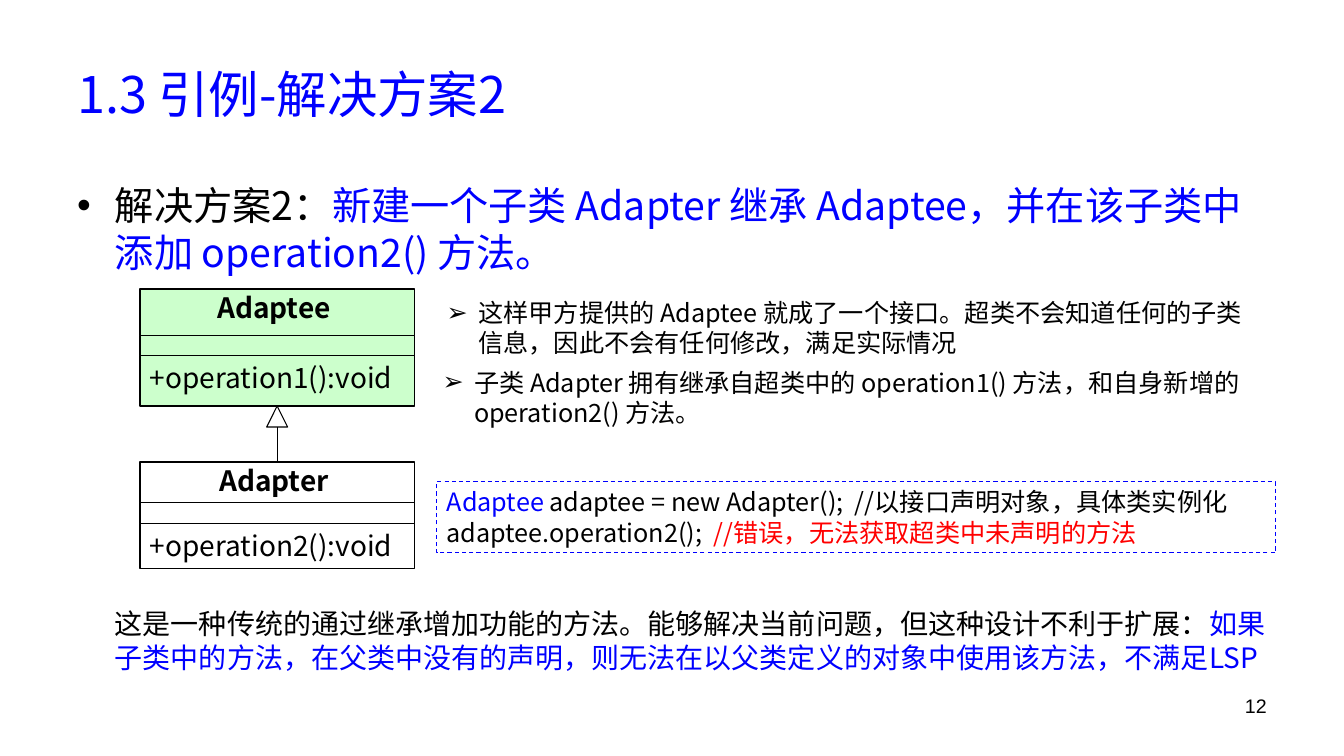
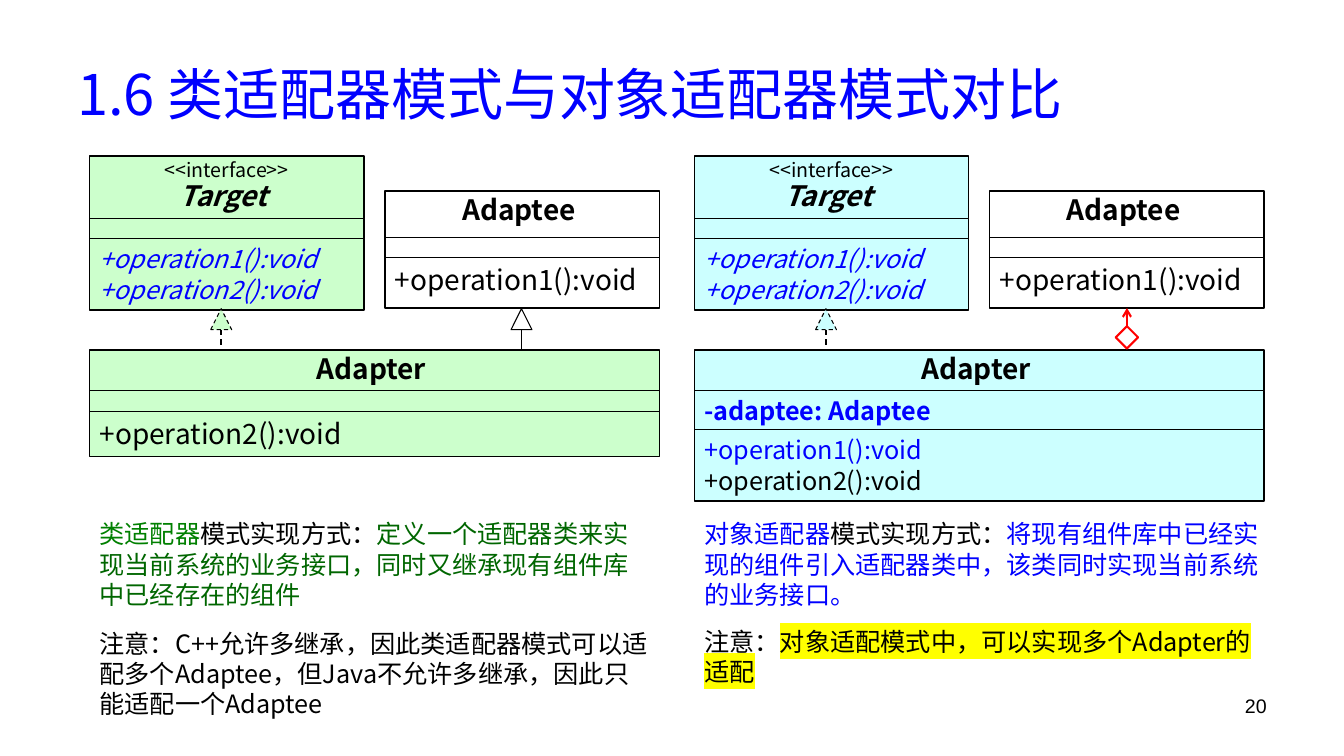
"""Build two slides on the adapter pattern with UML class diagrams."""
import dataclasses

import lxml.etree
import pptx
import pptx.dml.color
import pptx.enum.dml
import pptx.enum.shapes
import pptx.enum.text
import pptx.oxml.ns
import pptx.util

Pt = pptx.util.Pt
RGB = pptx.dml.color.RGBColor.from_string
SHAPE = pptx.enum.shapes.MSO_SHAPE
ALIGN = pptx.enum.text.PP_ALIGN
ANCHOR = pptx.enum.text.MSO_ANCHOR
DASH = pptx.enum.dml.MSO_LINE.DASH
qn = pptx.oxml.ns.qn


@dataclasses.dataclass(frozen=True)
class Theme:
    font: str = "Noto Sans CJK SC"
    number_font: str = "Arial"
    black: str = "000000"
    white: str = "FFFFFF"
    blue: str = "0000FF"
    red: str = "FF0000"
    green: str = "008000"
    dark_green: str = "006600"
    pale_green: str = "CCFFCC"
    pale_cyan: str = "CCFFFF"
    yellow: str = "FFFF00"
    body: int = 28
    large: int = 20
    text: int = 18
    small: int = 14


T = Theme()


def write(sp, *paras, size=T.text, color=T.black, font=T.font, bold=None, italic=None,
          align=ALIGN.LEFT, spacing=None, before=0, anchor=ANCHOR.TOP, bullet=None, indent=0):
    """Fill a shape with paragraphs; a run is a string or a (string, format) pair."""
    tf = sp.text_frame
    tf.word_wrap = True
    tf.auto_size = pptx.enum.text.MSO_AUTO_SIZE.NONE
    tf.vertical_anchor = anchor
    for i, runs in enumerate(paras):
        p = tf.add_paragraph() if i else tf.paragraphs[0]
        p.alignment, p.space_before = align, Pt(before)
        if spacing:
            p.line_spacing = spacing
        if bullet:
            pPr = p._p.get_or_add_pPr()
            pPr.set("marL", str(Pt(indent)))
            pPr.set("indent", str(-Pt(indent)))
            lxml.etree.SubElement(pPr, qn("a:buFont")).set("typeface", T.number_font)
            lxml.etree.SubElement(pPr, qn("a:buChar")).set("char", bullet)
        for run in runs if isinstance(runs, list) else [runs]:
            text, own = run if isinstance(run, tuple) else (run, {})
            r = p.add_run()
            r.text = text
            r.font.size = Pt(own.get("size", size))
            r.font.bold = own.get("bold", bold)
            r.font.italic = own.get("italic", italic)
            r.font.color.rgb = RGB(own.get("color", color))
            rPr = r._r.get_or_add_rPr()
            if "highlight" in own:
                mark = lxml.etree.SubElement(rPr, qn("a:highlight"))
                lxml.etree.SubElement(mark, qn("a:srgbClr")).set("val", own["highlight"])
            r.font.name = font
            lxml.etree.SubElement(rPr, qn("a:ea")).set("typeface", font)


def draw(shapes, kind, x, y, w, h, fill=None, line=T.black, width=1, dash=None):
    """Add an outlined shape, or a connector from x, y by w, h when kind is None."""
    if kind is None:
        sp = shapes.add_connector(pptx.enum.shapes.MSO_CONNECTOR.STRAIGHT,
                                  Pt(x), Pt(y), Pt(x + w), Pt(y + h))
        lxml.etree.SubElement(sp._element.spPr, qn("a:effectLst"))
    else:
        sp = shapes.add_shape(kind, Pt(x), Pt(y), Pt(w), Pt(h))
        sp.shadow.inherit = False
        if fill:
            sp.fill.solid()
            sp.fill.fore_color.rgb = RGB(fill)
        else:
            sp.fill.background()
    sp.line.color.rgb = RGB(line)
    sp.line.width = Pt(width)
    if dash:
        sp.line.dash_style = dash
    return sp


prs = pptx.Presentation()
prs.slide_width, prs.slide_height = Pt(960), Pt(540)
slides = []
for title, size, number in (("1.3 引例-解决方案2", 36, "12"),
                            ("1.6 类适配器模式与对象适配器模式对比", 40, "20")):
    s = prs.slides.add_slide(prs.slide_layouts[5])
    sp = s.shapes.title
    sp.left, sp.top, sp.width, sp.height = Pt(48), Pt(21.6), Pt(864), Pt(90)
    write(sp, title, size=size, color=T.blue, anchor=ANCHOR.MIDDLE)
    sp = s.shapes.add_textbox(Pt(688), Pt(492), Pt(224), Pt(37))
    write(sp, number, size=T.small, font=T.number_font, align=ALIGN.RIGHT)
    slides.append(s)
solution, comparison = slides

left, right, narrow, wide = 64, 496, 196, 407
shift = right - left
target = ["<<interface>>", ("Target ", {"size": T.large, "bold": True, "italic": True})]
op1, op2 = "+operation1():void", "+operation2():void"
plain = {"size": T.large}
abstract = {"color": T.blue, "italic": True}
classes = [
    (solution, "Adaptee", 100, 206.5, narrow, T.pale_green, (33, 14.5, 36), None, [op1], plain),
    (solution, "Adapter", 100, 330, narrow, None, (29, 15, 32), None, [op2], plain),
    (comparison, "Adapter", left, 250, wide, T.pale_green, (29, 15, 32), None, [op2], plain),
    (comparison, "Adapter", right, 250, wide, T.pale_cyan, (29, 28, 51), "-adaptee: Adaptee",
     [(op1, {"color": T.blue}), op2], {}),
]
for x, fill in ((left, T.pale_green), (right, T.pale_cyan)):
    classes += [
        (comparison, "Target", x, 111.5, narrow, fill, (44.5, 14.5, 51), None, [op1, op2], abstract),
        (comparison, "Adaptee", x + 211, 136.5, narrow, None, (33, 14.5, 36), None, [op1], plain),
    ]
parts = {}
for s, name, x, y, w, fill, heights, field, methods, fmt in classes:
    group = s.shapes.add_group_shape()
    rows = []
    for h in heights:
        rows.append(draw(group.shapes, SHAPE.RECTANGLE, x, y, w, h, fill))
        y += h
    heading = target if name == "Target" else [(name + " ", {"size": T.large, "bold": True})]
    write(rows[0], *heading, size=T.small, align=ALIGN.CENTER, spacing=0.9)
    if field:
        write(rows[1], field, color=T.blue, bold=True, anchor=ANCHOR.MIDDLE)
    write(rows[2], *methods, **fmt)
    parts[s.slide_id, name, x] = rows

for s, x, y, bottom, fill, dash in (
        (solution, 198, 290, 330, T.white, None),
        (comparison, 372.5, 220.5, 250, T.white, None),
        (comparison, 158, 220.5, 250, T.pale_green, DASH),
        (comparison, 158 + shift, 220.5, 250, T.pale_cyan, DASH)):
    draw(s.shapes, SHAPE.ISOSCELES_TRIANGLE, x - 7.5, y, 15, 15, fill, width=0.75, dash=dash)
    stem = draw(s.shapes, None, x, y + 15, 0, bottom - y - 15, dash=dash)
    if s is solution:
        stem.end_connect(parts[s.slide_id, "Adapter", 100][0], 0)

arrow = draw(comparison.shapes, None, 805, 220, 0, 13, line=T.red, width=1.5)
arrow.begin_connect(parts[comparison.slide_id, "Adaptee", right + 211][2], 2)
lxml.etree.SubElement(arrow.line._get_or_add_ln(), qn("a:headEnd")).set("type", "arrow")
draw(comparison.shapes, SHAPE.DIAMOND, 797, 233, 16, 16, T.white, T.red, 1.5)

code = draw(solution.shapes, SHAPE.RECTANGLE, 312, 344, 599, 51, line=T.blue, width=0.75, dash=DASH)
write(code,
      [("Adaptee ", {"color": T.blue}), "adaptee = new Adapter();  //以接口声明对象，具体类实例化"],
      ["adaptee.operation2();  ", ("//错误，无法获取超类中未声明的方法", {"color": T.red})])

blue = {"color": T.blue}
point = {"bullet": "➢", "indent": 22.5}
texts = [
    (solution, 48, 126, 864, 80,
     ["解决方案2：", ("新建一个子类 Adapter 继承 Adaptee，并在该子类中添加 operation2() 方法。", blue)],
     {"size": T.body, "before": 6.7, "bullet": "•", "indent": 27}),
    (solution, 312, 209, 589, 51,
     "这样甲方提供的 Adaptee 就成了一个接口。超类不会知道任何的子类信息，因此不会有任何修改，满足实际情况",
     point),
    (solution, 309, 258.5, 589, 51,
     "子类 Adapter 拥有继承自超类中的 operation1() 方法，和自身新增的operation2() 方法。", point),
    (solution, 75, 430, 837, 56,
     ["这是一种传统的通过继承增加功能的方法。能够解决当前问题，但这种设计不利于扩展：",
      ("如果子类中的方法，在父类中没有的声明，则无法在以父类定义的对象中使用该方法，不满足LSP", blue)],
     {"size": T.large}),
    (comparison, left, 367, wide, 73,
     [("类适配器", {"color": T.green}), "模式实现方式：",
      ("定义一个适配器类来实现当前系统的业务接口，同时又继承现有组件库中已经存在的组件",
       {"color": T.dark_green})], {}),
    (comparison, right, 367, 415.5, 73,
     [("对象适配器", blue), "模式实现方式：",
      ("将现有组件库中已经实现的组件引入适配器类中，该类同时实现当前系统的业务接口。", blue)], {}),
    (comparison, left, 445, wide, 73,
     "注意：C++允许多继承，因此类适配器模式可以适配多个Adaptee，但Java不允许多继承，因此只能适配一个Adaptee",
     {}),
    (comparison, right, 444, wide, 51,
     ["注意：", ("对象适配模式中，可以实现多个Adapter的适配", {"highlight": T.yellow})], {}),
]
for s, x, y, w, h, runs, fmt in texts:
    write(s.shapes.add_textbox(Pt(x), Pt(y), Pt(w), Pt(h)), runs, **fmt)

prs.save("out.pptx")
